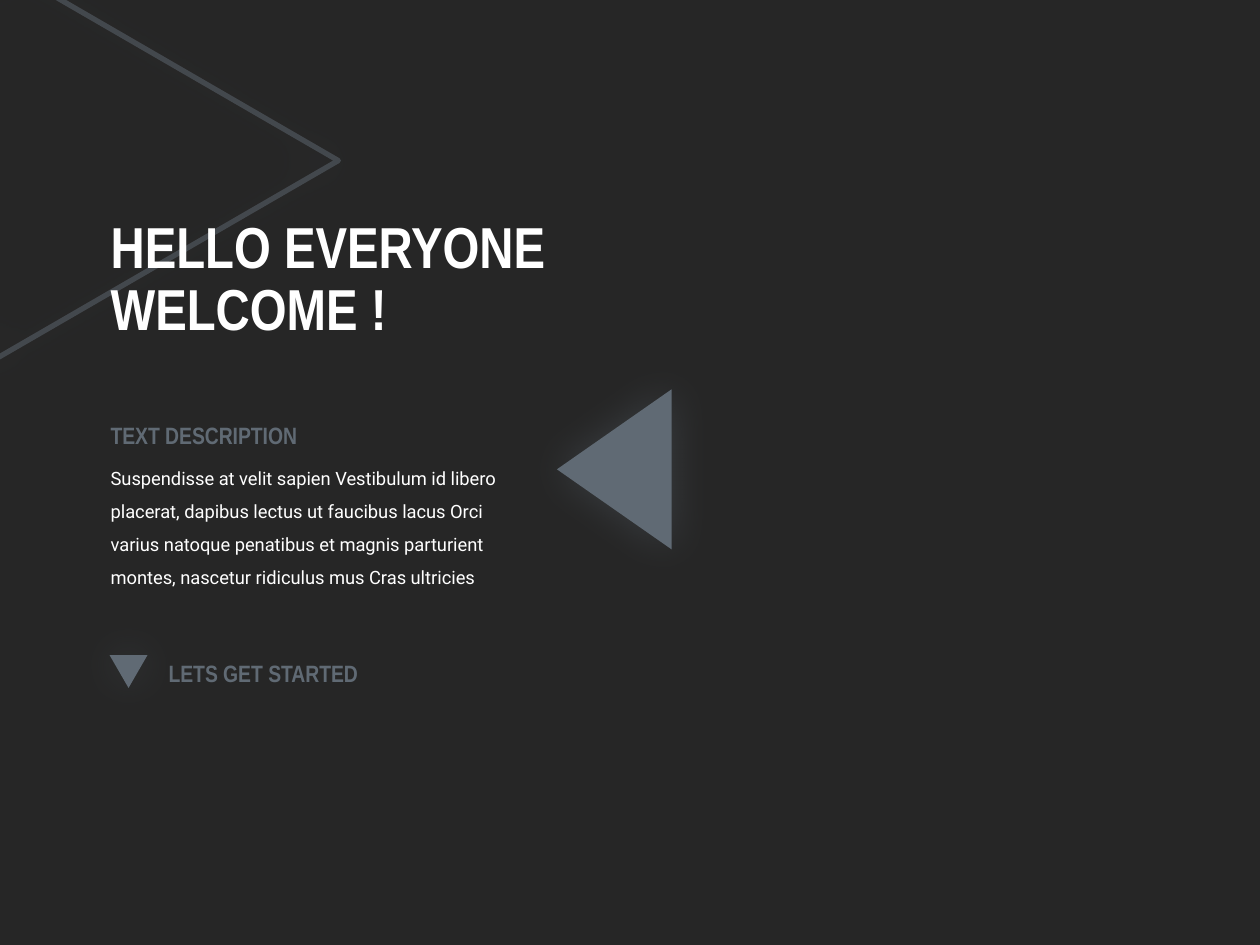
from dataclasses import dataclass

from lxml import etree
from pptx import Presentation
from pptx.dml.color import RGBColor
from pptx.enum.shapes import MSO_SHAPE
from pptx.enum.text import MSO_ANCHOR, MSO_AUTO_SIZE
from pptx.oxml.ns import qn
from pptx.util import Inches, Pt

TRIANGLE = MSO_SHAPE.ISOSCELES_TRIANGLE
TOP, MIDDLE = MSO_ANCHOR.TOP, MSO_ANCHOR.MIDDLE
GROW, FIXED = MSO_AUTO_SIZE.SHAPE_TO_FIT_TEXT, MSO_AUTO_SIZE.NONE

COLORS = {"background": "262626", "accent": "606A74", "white": "FFFFFF"}
WIDTH, HEIGHT = Inches(10), Inches(7.5)
COLUMNS, ROWS = 100, 75  # square grid cells
HEADING = {"name": "Arial Narrow", "size": Pt(13.5), "bold": True}
TITLE = {**HEADING, "size": Pt(33)}
BODY = {"name": "Roboto", "size": Pt(10.5), "bold": False}


@dataclass
class Area:
    column: float
    row: float
    columns: float
    rows: float

    def lengths(self) -> tuple:
        return (int(WIDTH * self.column / COLUMNS), int(HEIGHT * self.row / ROWS),
                int(WIDTH * self.columns / COLUMNS), int(HEIGHT * self.rows / ROWS))


@dataclass
class Triangle:
    area: Area
    rotation: int
    outlined: bool = False


@dataclass
class Label:
    area: Area
    text: str
    format: dict
    color: str = "accent"
    line_spacing: float = 1.0
    anchor: MSO_ANCHOR = TOP
    auto_size: MSO_AUTO_SIZE = GROW


def rgb(name: str) -> RGBColor:
    return RGBColor.from_string(COLORS[name])


def add_alpha(color, percent: int) -> None:
    etree.SubElement(color, qn("a:alpha"), val=str(percent * 1000))


def add_glow(shape) -> None:
    """Give the shape a soft, centred shadow."""
    shape.shadow.inherit = False
    effects = shape._element.spPr.find(qn("a:effectLst"))
    shadow = etree.SubElement(effects, qn("a:outerShdw"), blurRad=str(Pt(25)),
                              dist="0", dir="0", algn="ctr", rotWithShape="0")
    color = etree.SubElement(shadow, qn("a:srgbClr"), val=COLORS["accent"])
    add_alpha(color, 35)


def draw_triangle(page, triangle: Triangle) -> None:
    shape = page.shapes.add_shape(TRIANGLE, *triangle.area.lengths())
    shape.rotation = triangle.rotation
    if triangle.outlined:
        shape.fill.background()
        shape.line.color.rgb = rgb("accent")
        shape.line.width = Pt(3)
        add_alpha(shape.line._ln.find(".//" + qn("a:srgbClr")), 50)
    else:
        shape.fill.solid()
        shape.fill.fore_color.rgb = rgb("accent")
        shape.line.fill.background()
    add_glow(shape)


def draw_label(page, label: Label) -> None:
    box = page.shapes.add_textbox(*label.area.lengths())
    frame = box.text_frame
    frame.word_wrap = True
    frame.auto_size = label.auto_size
    frame.vertical_anchor = label.anchor
    para = frame.paragraphs[0]
    para.text = label.text
    para.line_spacing = label.line_spacing
    for span in para.runs:
        for key, value in label.format.items():
            setattr(span.font, key, value)
        span.font.color.rgb = rgb(label.color)


# Parts from back to front
PARTS = [
    Triangle(Area(-3.9, -1.5, 33, 28.5), 90, outlined=True),
    Label(Area(7.8, 14.4, 42.2, 15.8), "HELLO EVERYONE\vWELCOME !", TITLE,
          "white", 0.9, MIDDLE, FIXED),
    Triangle(Area(42.4, 32.7, 12.7, 9.1), 270),
    Label(Area(7.8, 35.7, 33.8, 11.3),
          "Suspendisse at velit sapien Vestibulum id libero placerat, dapibus "
          "lectus ut faucibus lacus Orci varius natoque penatibus et magnis "
          "parturient montes, nascetur ridiculus mus Cras ultricies",
          BODY, "white", 1.5),
    Label(Area(7.8, 32.9, 18.4, 3.3), "TEXT DESCRIPTION", HEADING),
    Triangle(Area(8.7, 52, 3, 2.6), 180),
    Label(Area(12.4, 51.8, 18.4, 3.3), "LETS GET STARTED", HEADING),
]


def main() -> None:
    deck = Presentation()
    deck.slide_width, deck.slide_height = WIDTH, HEIGHT
    page = deck.slides.add_slide(deck.slide_layouts[6])
    page.background.fill.solid()
    page.background.fill.fore_color.rgb = rgb("background")
    for part in PARTS:
        draw = draw_triangle if isinstance(part, Triangle) else draw_label
        draw(page, part)
    deck.save("out.pptx")


if __name__ == "__main__":
    main()
